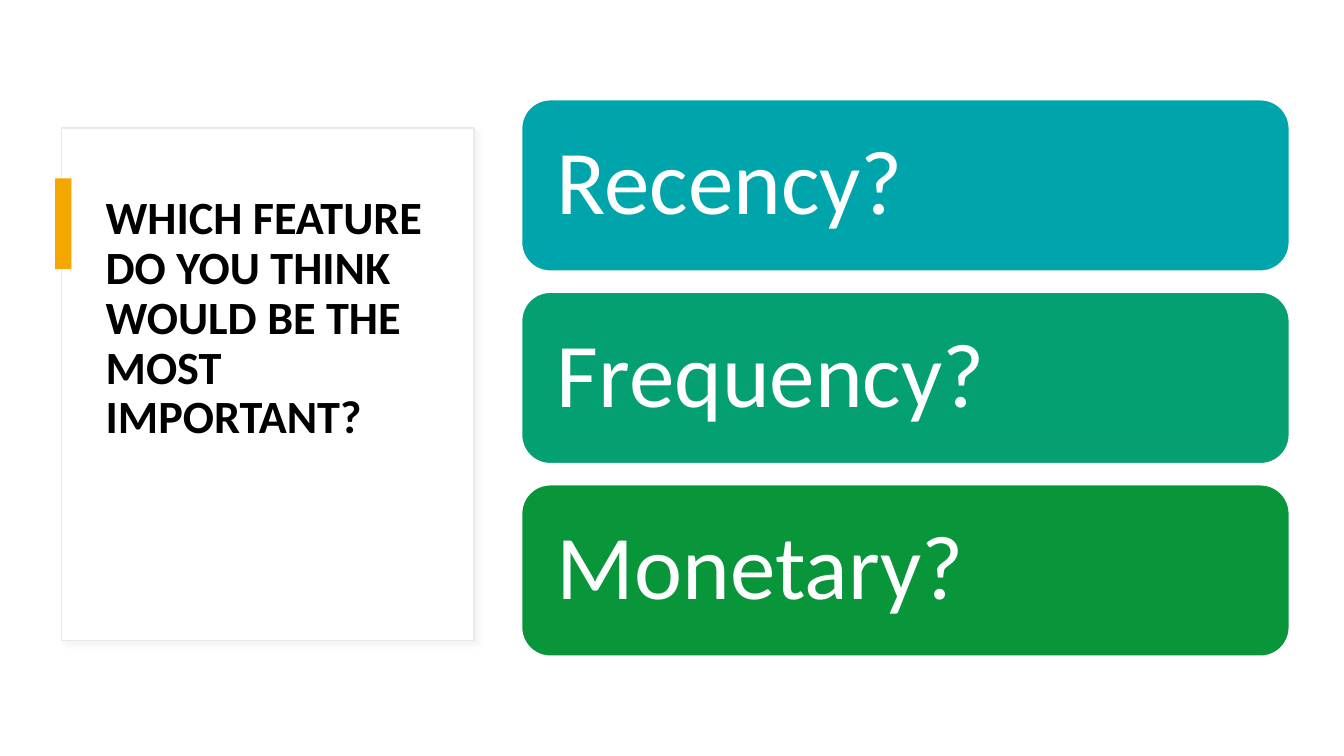
from dataclasses import dataclass

import pptx
import pptx.dml.color
import pptx.enum.shapes
import pptx.enum.text
import pptx.oxml
import pptx.oxml.ns
import pptx.util
from pptx.dml.color import RGBColor
from pptx.enum.shapes import MSO_SHAPE
from pptx.util import Pt

WHITE = RGBColor(0xFF, 0xFF, 0xFF)
BLACK = RGBColor(0, 0, 0)
BORDER = RGBColor(0xE9, 0xE9, 0xE9)
AMBER = RGBColor(0xF5, 0xA7, 0x00)
TEAL = RGBColor(0x00, 0xA5, 0xAB)
SEA_GREEN = RGBColor(0x05, 0xA0, 0x71)
GREEN = RGBColor(0x09, 0x96, 0x3B)

FONT = "Calibri"
FEATURE_TOP, FEATURE_PITCH = 71.3, 137.5

SHADOW = (
    f'<a:outerShdw {pptx.oxml.ns.nsdecls("a")} blurRad="50800" dist="38100" '
    'dir="2700000" algn="tl" rotWithShape="0"><a:srgbClr val="D9D9D9">'
    '<a:alpha val="30000"/></a:srgbClr></a:outerShdw>'
)


@dataclass(frozen=True)
class Box:
    left: float
    top: float
    width: float
    height: float

    def lengths(self) -> tuple[Pt, Pt, Pt, Pt]:
        return Pt(self.left), Pt(self.top), Pt(self.width), Pt(self.height)


@dataclass(frozen=True)
class Feature:
    name: str
    color: RGBColor


FEATURES = [
    Feature("Recency?", TEAL),
    Feature("Frequency?", SEA_GREEN),
    Feature("Monetary?", GREEN),
]


def add_box(slide, kind: MSO_SHAPE, box: Box, fill: RGBColor, line: RGBColor | None = None):
    sp = slide.shapes.add_shape(kind, *box.lengths())
    sp.shadow.inherit = False
    sp.fill.solid()
    sp.fill.fore_color.rgb = fill
    if line is None:
        sp.line.fill.background()
    else:
        sp.line.color.rgb = line
        sp.line.width = Pt(1)
    return sp


def add_shadow(sp) -> None:
    effects = sp._element.spPr.find(pptx.oxml.ns.qn("a:effectLst"))
    effects.append(pptx.oxml.parse_xml(SHADOW))


def write_text(sp, text: str, size: float, color: RGBColor, bold: bool = False) -> None:
    tf = sp.text_frame
    tf.word_wrap = True
    p = tf.paragraphs[0]
    p.text = text
    p.alignment = pptx.enum.text.PP_ALIGN.LEFT
    p.line_spacing = 0.9
    p.font.name = FONT
    p.font.size = Pt(size)
    p.font.bold = bold
    p.font.color.rgb = color


def add_question(slide) -> None:
    card = add_box(slide, MSO_SHAPE.RECTANGLE, Box(44, 91.5, 294.5, 365.8), WHITE, BORDER)
    add_shadow(card)
    title = slide.shapes.add_textbox(*Box(68.4, 135.4, 244, 277.2).lengths())
    write_text(title, "WHICH FEATURE DO YOU THINK WOULD BE THE MOST IMPORTANT?", 33, BLACK, bold=True)
    add_box(slide, MSO_SHAPE.RECTANGLE, Box(39.5, 127.5, 11.5, 64.8), AMBER)


def add_feature(slide, feature: Feature, top: float) -> None:
    box = Box(372.6, top, 548.3, 122.4)
    sp = add_box(slide, MSO_SHAPE.ROUNDED_RECTANGLE, box, feature.color, WHITE)
    write_text(sp, feature.name, 65, WHITE)
    tf = sp.text_frame
    tf.vertical_anchor = pptx.enum.text.MSO_ANCHOR.MIDDLE
    # The text rectangle of a rounded shape already lies 6 pt inside its edge.
    tf.margin_left = tf.margin_right = Pt(19.2)
    tf.margin_top = tf.margin_bottom = Pt(19.2)


def main() -> None:
    prs = pptx.Presentation()
    prs.slide_width, prs.slide_height = Pt(960), Pt(540)
    slide = prs.slides.add_slide(prs.slide_layouts[6])
    add_question(slide)
    for i, feature in enumerate(FEATURES):
        add_feature(slide, feature, FEATURE_TOP + i * FEATURE_PITCH)
    prs.save("out.pptx")


if __name__ == "__main__":
    main()
